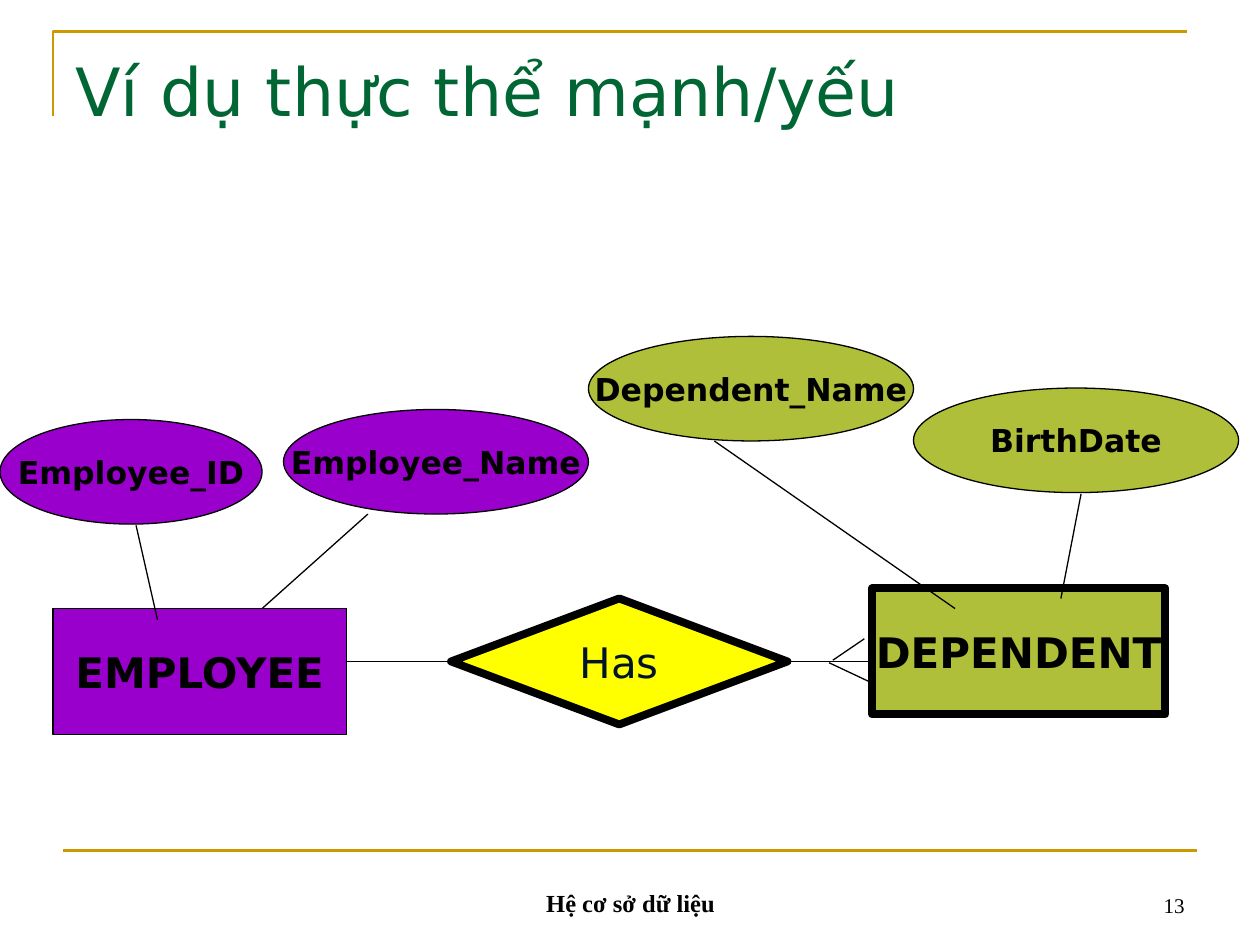
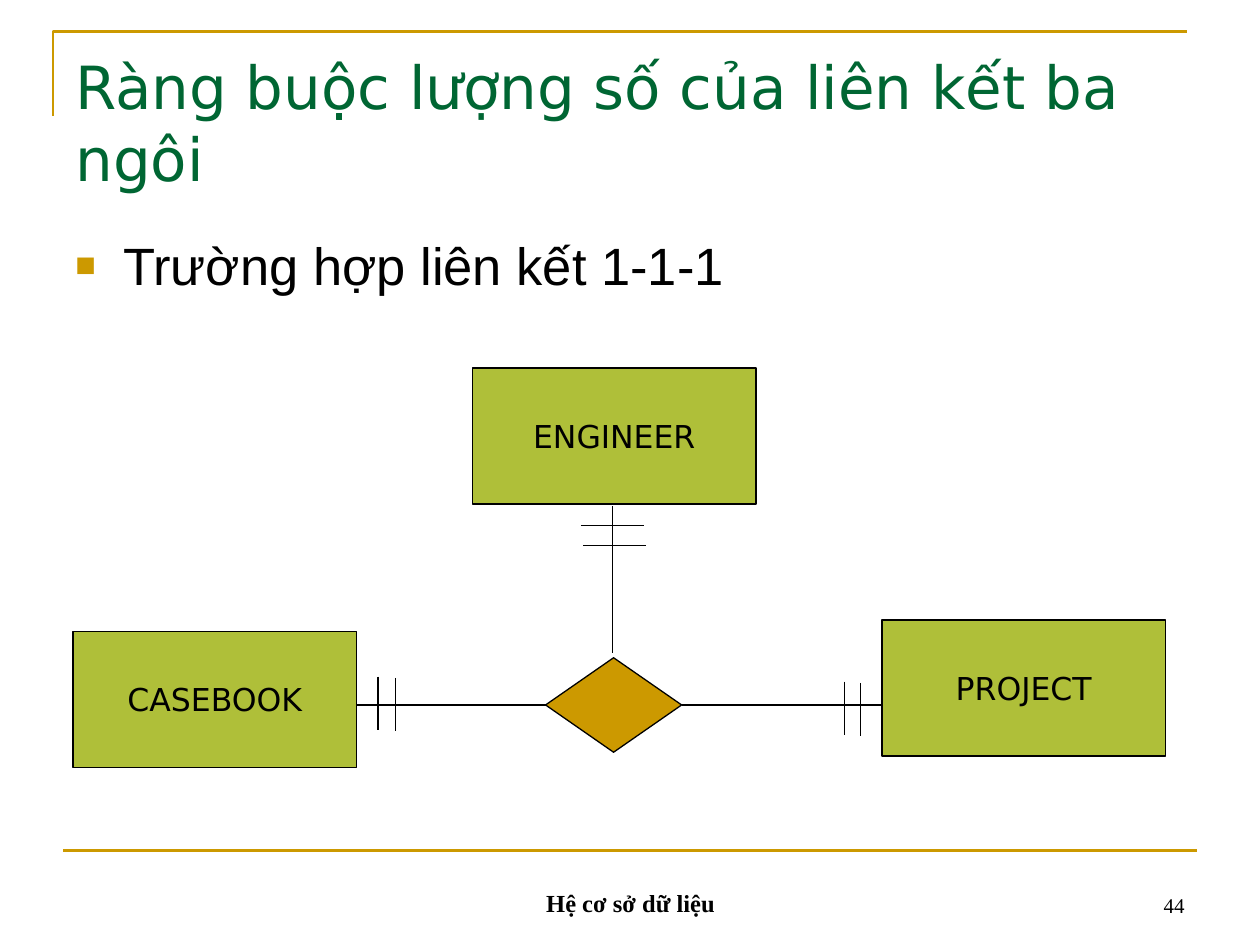
from lxml import etree
from pptx import Presentation
from pptx.dml.color import RGBColor
from pptx.enum.shapes import MSO_CONNECTOR, MSO_SHAPE
from pptx.enum.text import MSO_ANCHOR, PP_ALIGN
from pptx.oxml.ns import qn
from pptx.util import Inches, Pt

RECTANGLE, ELLIPSE, DIAMOND = MSO_SHAPE.RECTANGLE, MSO_SHAPE.OVAL, MSO_SHAPE.DIAMOND
STRAIGHT = MSO_CONNECTOR.STRAIGHT
LEFT, CENTER, RIGHT = PP_ALIGN.LEFT, PP_ALIGN.CENTER, PP_ALIGN.RIGHT
TOP, MIDDLE, BOTTOM = MSO_ANCHOR.TOP, MSO_ANCHOR.MIDDLE, MSO_ANCHOR.BOTTOM
LEFT_SIDE, RIGHT_SIDE = 1, 3

GOLD, GREEN, BLACK = "CC9900", "006633", "000000"
PURPLE, OLIVE, YELLOW, NAVY = "9900CC", "AFBF39", "FFFF00", "00152A"
SANS, SERIF, BODY = "DejaVu Sans", "Times New Roman", "Arial"
FOOTER = "Hệ cơ sở dữ liệu"


def rgb(value):
    return RGBColor.from_string(value)


def style_text(paragraph, text, size, name=SANS, color=BLACK, bold=False, align=LEFT):
    paragraph.text = text
    paragraph.alignment = align
    font = paragraph.font
    font.size, font.name, font.bold = Pt(size), name, bold
    font.color.rgb = rgb(color)


def add_text(slide, box, text, size, anchor=TOP, top_inset=0.05, **style):
    shape = slide.shapes.add_textbox(*map(Inches, box))
    frame = shape.text_frame
    frame.word_wrap = True
    frame.vertical_anchor = anchor
    frame.margin_top = Inches(top_inset)
    style_text(frame.paragraphs[0], text, size, **style)
    return frame.paragraphs[0]


def add_bullet(slide, text):
    paragraph = add_text(slide, (0.5, 1.75, 9, 4.95), "", 30, top_inset=0.1)
    properties = paragraph._p.get_or_add_pPr()
    indent = Inches(0.38)
    properties.set("marL", str(indent))
    properties.set("indent", str(-indent))
    for child in list(properties):
        properties.remove(child)
    color = etree.SubElement(properties, qn("a:buClr"))
    etree.SubElement(color, qn("a:srgbClr"), val=GOLD)
    etree.SubElement(properties, qn("a:buSzPct"), val="65000")
    etree.SubElement(properties, qn("a:buFont"), typeface=BODY)
    etree.SubElement(properties, qn("a:buChar"), char="■")
    style_text(paragraph, text, 30, name=BODY)


def add_node(slide, kind, box, fill, text="", size=18, line_width=0.75,
             color=BLACK, bold=False):
    """Add an entity, attribute or relationship with a centred label."""
    shape = slide.shapes.add_shape(kind, *map(Inches, box))
    shape.shadow.inherit = False
    shape.fill.solid()
    shape.fill.fore_color.rgb = rgb(fill)
    shape.line.color.rgb = rgb(BLACK)
    shape.line.width = Pt(line_width)
    if text:
        frame = shape.text_frame
        frame.word_wrap = False
        frame.vertical_anchor = MIDDLE
        style_text(frame.paragraphs[0], text, size, color=color, bold=bold, align=CENTER)
    return shape


def add_line(slide, start, end, color=BLACK, width=0.75):
    connector = slide.shapes.add_connector(STRAIGHT, *map(Inches, (*start, *end)))
    connector.line.color.rgb = rgb(color)
    connector.line.width = Pt(width)
    etree.SubElement(connector._element.spPr, qn("a:effectLst"))
    return connector


def add_side_link(slide, diamond, side, end_x):
    """Draw a level line from a side corner of the diamond to end_x."""
    y = (diamond.top + diamond.height / 2) / Inches(1)
    add_line(slide, (end_x, y), (end_x, y)).begin_connect(diamond, side)


def add_corner_rule(slide):
    builder = slide.shapes.build_freeform(Inches(0.42), Inches(0.92))
    builder.add_line_segments(
        [(Inches(0.42), Inches(0.25)), (Inches(9.42), Inches(0.25))], close=False)
    rule = builder.convert_to_shape()
    rule.shadow.inherit = False
    rule.fill.background()
    rule.line.color.rgb = rgb(GOLD)
    rule.line.width = Pt(1.5)


def start_slide(presentation, title, title_size, number):
    slide = presentation.slides.add_slide(presentation.slide_layouts[6])
    add_corner_rule(slide)
    add_line(slide, (0.5, 6.75), (9.5, 6.75), GOLD, 1.5)
    add_text(slide, (3.42, 6.83, 3.17, 0.5), FOOTER, 14, BOTTOM,
             name=SERIF, bold=True, align=CENTER)
    add_text(slide, (7.17, 6.83, 2.33, 0.5), number, 12, BOTTOM, name=SERIF, align=RIGHT)
    add_text(slide, (0.5, 0.3, 9, 1.25), title, title_size, top_inset=0.1, color=GREEN)
    return slide


def build_strong_weak_entities(presentation):
    slide = start_slide(presentation, "Ví dụ thực thể mạnh/yếu", 38, "13")
    add_node(slide, RECTANGLE, (0.42, 4.83, 2.33, 1), PURPLE, "EMPLOYEE", 24, bold=True)
    add_node(slide, RECTANGLE, (6.92, 4.67, 2.33, 1), OLIVE, "DEPENDENT", 24, 4.5, bold=True)
    has = add_node(slide, DIAMOND, (3.58, 4.75, 2.67, 1), YELLOW, "Has", 24, 4.5, NAVY)
    add_side_link(slide, has, LEFT_SIDE, 2.75)
    add_side_link(slide, has, RIGHT_SIDE, 6.92)

    attributes = [
        ("Employee_ID", 0, 3.33, 2.08, PURPLE),
        ("Employee_Name", 2.25, 3.25, 2.42, PURPLE),
        ("Dependent_Name", 4.67, 2.67, 2.58, OLIVE),
        ("BirthDate", 7.25, 3.08, 2.58, OLIVE),
    ]
    for name, left, top, width, fill in attributes:
        add_node(slide, ELLIPSE, (left, top, width, 0.83), fill, name, bold=True)

    crow_foot = [((6.61, 5.24), (6.86, 5.07)), ((6.58, 5.26), (6.92, 5.42))]
    attribute_links = [
        ((1.08, 4.17), (1.25, 4.92)),
        ((2.92, 4.08), (2.08, 4.83)),
        ((5.67, 3.5), (7.58, 4.83)),
        ((8.58, 3.92), (8.42, 4.75)),
    ]
    for start, end in crow_foot + attribute_links:
        add_line(slide, start, end)


def build_ternary_relationship(presentation):
    slide = start_slide(presentation, "Ràng buộc lượng số của liên kết ba ngôi", 34, "44")
    add_bullet(slide, "Trường hợp liên kết 1-1-1")
    entities = [("ENGINEER", 3.75, 2.92), ("CASEBOOK", 0.58, 5.01), ("PROJECT", 7, 4.92)]
    for name, left, top in entities:
        add_node(slide, RECTANGLE, (left, top, 2.25, 1.08), OLIVE, name)

    relationship = add_node(slide, DIAMOND, (4.33, 5.22, 1.08, 0.75), GOLD)
    add_line(slide, (4.86, 4.02), (4.86, 5.18))
    add_side_link(slide, relationship, LEFT_SIDE, 2.83)
    add_side_link(slide, relationship, RIGHT_SIDE, 7)

    for left, y in [(4.61, 4.17), (4.63, 4.33)]:
        add_line(slide, (left, y), (left + 0.5, y))
    for x, top in [(3, 5.37), (3.14, 5.38), (6.7, 5.41), (6.83, 5.42)]:
        add_line(slide, (x, top), (x, top + 0.42))


def main():
    presentation = Presentation()
    presentation.slide_width = Inches(10)
    presentation.slide_height = Inches(7.5)
    build_strong_weak_entities(presentation)
    build_ternary_relationship(presentation)
    presentation.save("out.pptx")


if __name__ == "__main__":
    main()
